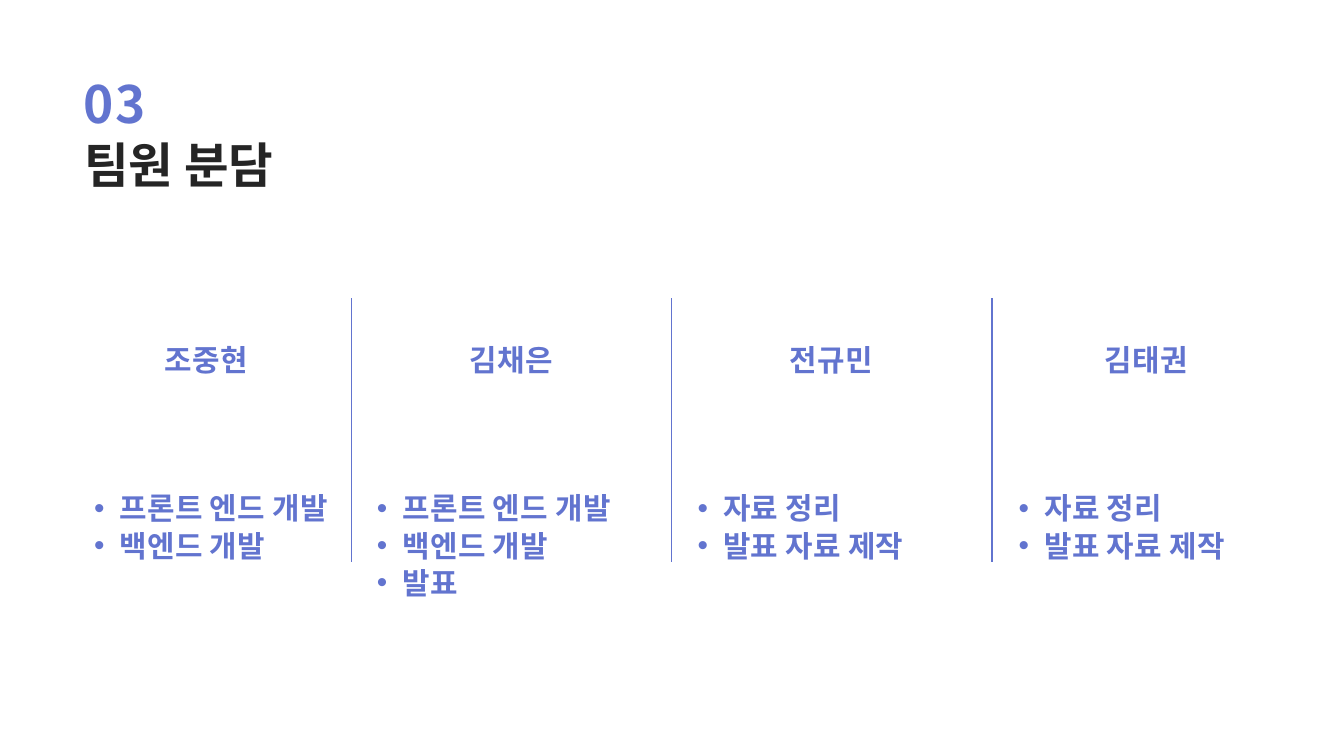
from dataclasses import dataclass

from lxml.etree import SubElement
from pptx import Presentation
from pptx.dml.color import RGBColor
from pptx.enum.shapes import MSO_CONNECTOR as Connector
from pptx.enum.text import MSO_ANCHOR as Anchor, MSO_AUTO_SIZE as AutoSize, PP_ALIGN as Align
from pptx.oxml.ns import qn
from pptx.util import Inches, Pt


@dataclass(frozen=True)
class Theme:
    """Colours, font and type sizes of the slide."""
    font: str = "Noto Sans CJK KR"
    accent: RGBColor = RGBColor(0x62, 0x74, 0xCF)
    dark: RGBColor = RGBColor(0x25, 0x25, 0x25)
    number_size: int = 55
    title_size: int = 52
    body_size: int = 32
    body_leading: int = 40


THEME = Theme()
MEMBERS = [
    {"name": "조중현", "name_left": 1.25, "list_left": 1.02, "list_width": 4.21,
     "tasks": ["프론트 엔드 개발", "백엔드 개발"]},
    {"name": "김채은", "name_left": 5.79, "list_left": 5.23, "list_width": 4.76,
     "tasks": ["프론트 엔드 개발", "백엔드 개발", "발표"]},
    {"name": "전규민", "name_left": 10.55, "list_left": 10, "list_width": 4.76,
     "tasks": ["자료 정리", "발표 자료 제작"]},
    {"name": "김태권", "name_left": 15.24, "list_left": 14.78, "list_width": 4.09,
     "tasks": ["자료 정리", "발표 자료 제작"]},
]


def add_bullet(paragraph):
    """Give a paragraph a hanging bullet."""
    paragraph.level = 1
    properties = paragraph._p.get_or_add_pPr()
    properties.set("marL", str(Inches(0.76)))
    properties.set("indent", str(Inches(-0.38)))
    SubElement(properties, qn("a:buFont")).set("typeface", "Arial")
    SubElement(properties, qn("a:buChar")).set("char", "•")


def style_run(run, size, color, spacing):
    """Apply the bold theme font to a run."""
    for name, value in {"size": Pt(size), "bold": True, "name": THEME.font}.items():
        setattr(run.font, name, value)
    run.font.color.rgb = color
    properties = run._r.get_or_add_rPr()
    properties.set("spc", str(round(spacing * 100)))
    SubElement(properties, qn("a:ea")).set("typeface", THEME.font)


def fill_text(shape, lines, size=THEME.body_size, leading=THEME.body_leading,
              color=THEME.accent, spacing=0.3, align=Align.LEFT, bulleted=False):
    """Write formatted lines into a shape without margins."""
    frame = shape.text_frame
    frame_format = {"margin_left": 0, "margin_top": 0, "margin_right": 0, "margin_bottom": 0,
                    "word_wrap": True, "vertical_anchor": Anchor.TOP,
                    "auto_size": AutoSize.SHAPE_TO_FIT_TEXT}
    for name, value in frame_format.items():
        setattr(frame, name, value)
    for index, line in enumerate(lines):
        paragraph = frame.add_paragraph() if index else frame.paragraphs[0]
        paragraph.alignment = align
        paragraph.line_spacing = Pt(leading)
        if bulleted:
            add_bullet(paragraph)
        run = paragraph.add_run()
        run.text = line
        style_run(run, size, color, spacing)


def add_text(slide, left, top, width, height, lines, **text_format):
    """Add a text box at a place given in inches."""
    box = slide.shapes.add_textbox(Inches(left), Inches(top), Inches(width), Inches(height))
    fill_text(box, lines, **text_format)


def set_title(slide, text):
    """Place and format the title placeholder."""
    title = slide.shapes.title
    place = {"left": 1.25, "top": 1.43, "width": 5.8, "height": 1.3}
    for name, value in place.items():
        setattr(title, name, Inches(value))
    fill_text(title, [text], size=THEME.title_size, leading=104, color=THEME.dark, spacing=0)


def add_divider(slide, x):
    """Draw a vertical line between two members."""
    line = slide.shapes.add_connector(
        Connector.STRAIGHT, Inches(x), Inches(4.44), Inches(x), Inches(8.37))
    line.line.color.rgb = THEME.accent
    line.line.width = Pt(1.5)
    SubElement(line._element.spPr, qn("a:effectLst"))


def add_member(slide, member):
    """Add a member's name and list of tasks."""
    tasks = member["tasks"]
    add_text(slide, member["list_left"], 7.27, member["list_width"], 0.55 * len(tasks),
             tasks, bulleted=True)
    add_text(slide, member["name_left"], 5.06, 3.64, 0.55, [member["name"]], align=Align.CENTER)


def main():
    """Build the slide of team roles."""
    presentation = Presentation()
    presentation.slide_width = Inches(20)
    presentation.slide_height = Inches(11.25)
    slide = presentation.slides.add_slide(presentation.slide_layouts[5])
    for index in range(len(MEMBERS) - 1):
        add_divider(slide, 5.23 + 4.765 * index)
    add_text(slide, 1.25, 0.46, 1.53, 1.37, ["03"],
             size=THEME.number_size, leading=110, spacing=1.3)
    set_title(slide, "팀원 분담")
    for member in MEMBERS:
        add_member(slide, member)
    presentation.save("out.pptx")


if __name__ == "__main__":
    main()
